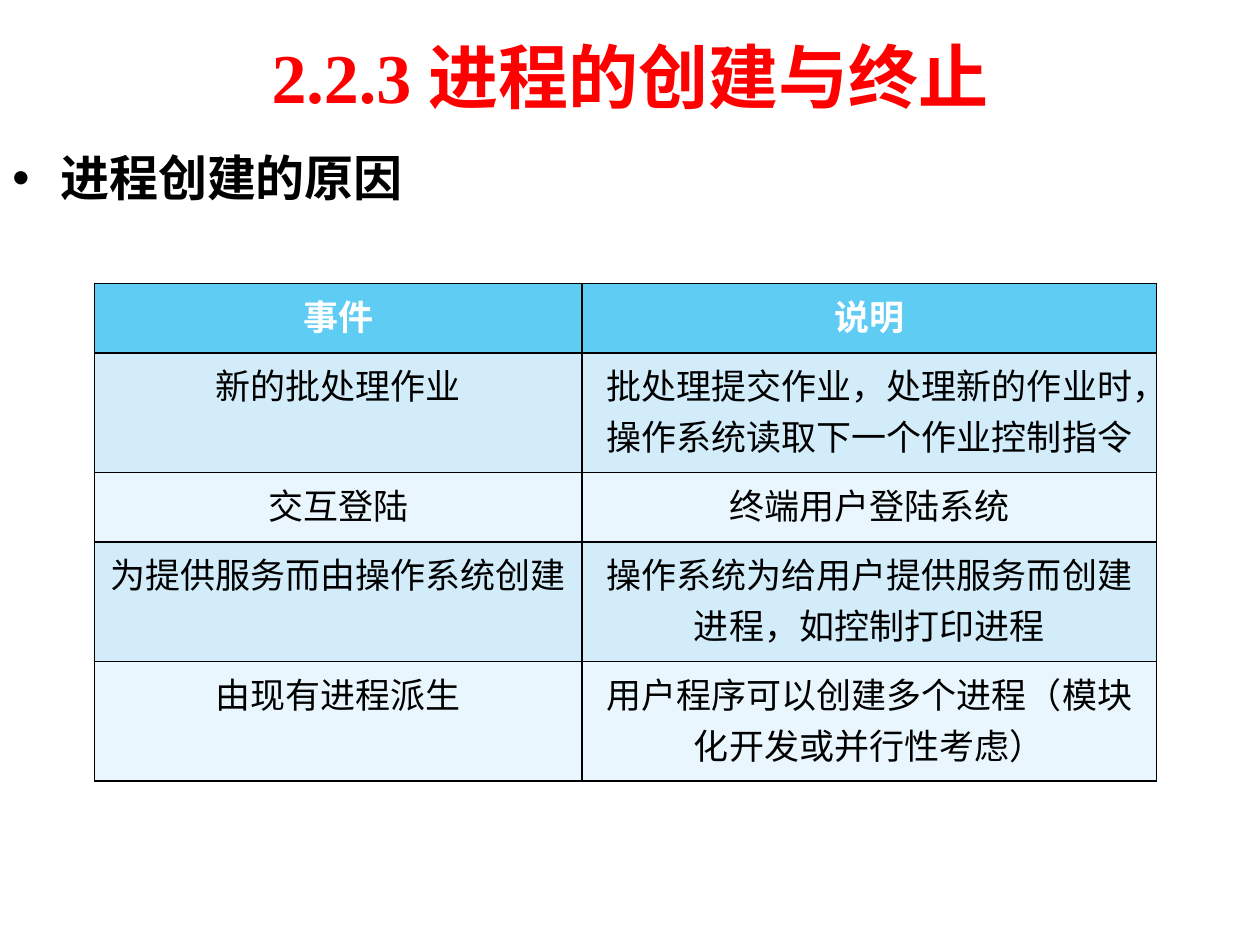
from pptx import Presentation
from pptx.dml.color import RGBColor
from pptx.enum.text import MSO_ANCHOR, PP_ALIGN
from pptx.oxml import parse_xml
from pptx.oxml.ns import nsdecls
from pptx.util import Inches, Pt

WIDTH, HEIGHT = 10, 7.5
ROWS = [
    ("事件", "说明"),
    ("新的批处理作业", "批处理提交作业，处理新的作业时，操作系统读取下一个作业控制指令"),
    ("交互登陆", "终端用户登陆系统"),
    ("为提供服务而由操作系统创建", "操作系统为给用户提供服务而创建进程，如控制打印进程"),
    ("由现有进程派生", "用户程序可以创建多个进程（模块化开发或并行性考虑）"),
]


def color(value):
    return RGBColor.from_string(value)


def write(tf, text, size, font="Arial", fill="000000", bold=False,
          align=PP_ALIGN.LEFT, bullet=None, indent=0):
    p = tf.paragraphs[0]
    p.alignment = align
    if bullet:
        pPr = p._p.get_or_add_pPr()
        pPr.set("marL", str(Inches(indent)))
        pPr.set("indent", str(-Inches(indent)))
        pPr.append(parse_xml(f'<a:buFont {nsdecls("a")} typeface="Arial"/>'))
        pPr.append(parse_xml(f'<a:buChar {nsdecls("a")} char="{bullet}"/>'))
    r = p.add_run()
    r.text = text
    r.font.name = font
    r.font.size = Pt(size)
    r.font.bold = bold
    r.font.color.rgb = color(fill)


class Deck:
    head, bands, line = "5ECCF3", ("D2ECFA", "EAF6FD"), "000000"

    def __init__(self):
        self.prs = Presentation()
        self.prs.slide_width, self.prs.slide_height = Inches(WIDTH), Inches(HEIGHT)
        self.s = self.prs.slides.add_slide(self.prs.slide_layouts[6])

    def box(self, x, y, w, h):
        return [Inches(n) for n in (x * WIDTH, y * HEIGHT, w * WIDTH, h * HEIGHT)]

    def text(self, area, text, anchor=MSO_ANCHOR.TOP, **style):
        tf = self.s.shapes.add_textbox(*self.box(*area)).text_frame
        tf.word_wrap = True
        tf.vertical_anchor = anchor
        write(tf, text, **style)

    def border(self, cell):
        tcPr = cell._tc.get_or_add_tcPr()
        for side in ("lnL", "lnR", "lnT", "lnB"):
            tcPr.append(parse_xml(
                f'<a:{side} {nsdecls("a")} w="{Pt(1)}"><a:solidFill>'
                f'<a:srgbClr val="{self.line}"/></a:solidFill></a:{side}>'))

    def table(self, area, rows, widths, heights):
        frame = self.s.shapes.add_table(len(rows), len(widths), *self.box(*area))
        table = frame.table
        for column, width in zip(table.columns, widths):
            column.width = Inches(width)
        for i, (row, height) in enumerate(zip(rows, heights)):
            table.rows[i].height = Inches(height)
            for j, text in enumerate(row):
                cell = table.cell(i, j)
                self.border(cell)
                cell.fill.solid()
                cell.fill.fore_color.rgb = color(self.bands[(i - 1) % 2] if i else self.head)
                write(cell.text_frame, text, 20, bold=i == 0,
                      fill="000000" if i else "FFFFFF", align=PP_ALIGN.CENTER)


def main():
    deck = Deck()
    deck.text((0.05, 0.01, 0.9, 0.14), "2.2.3 进程的创建与终止", MSO_ANCHOR.MIDDLE,
              size=40, font="Times New Roman", fill="FF0000", bold=True,
              align=PP_ALIGN.CENTER)
    deck.text((0, 0.15, 0.9, 0.12), "进程创建的原因", size=28, bold=True,
              bullet="•", indent=0.38)
    single, double = 0.55, 0.95
    deck.table((0.075, 0.3, 0.84, 0.53), ROWS, (3.87, 4.56),
               (single, double, single, double, double))
    deck.prs.save("out.pptx")


if __name__ == "__main__":
    main()
